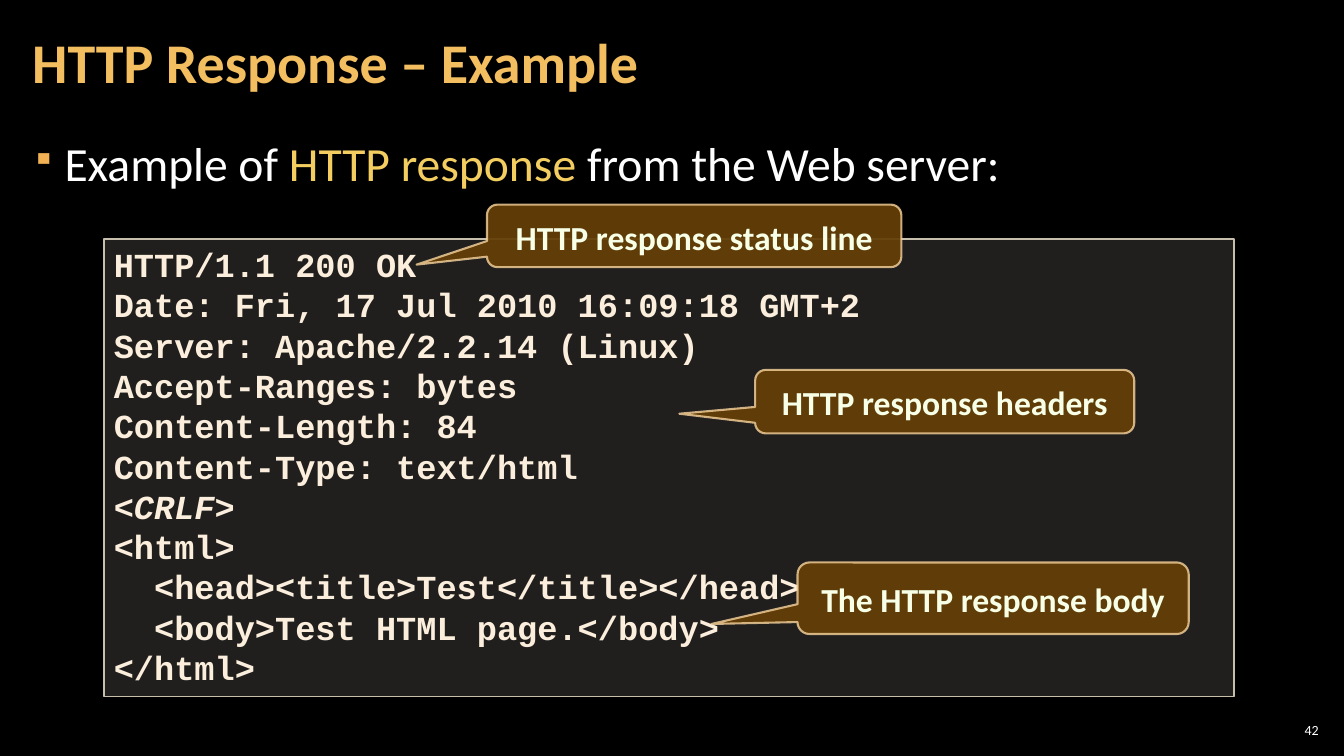
import pptx
import pptx.dml.color
import pptx.enum.shapes
import pptx.enum.text
import pptx.oxml
import pptx.oxml.ns
import pptx.util
from pptx.util import Inches

COLORS = {
    "background": "000000",
    "title": "F3BE60",
    "text": "FFFFFF",
    "highlight": "F3CD60",
    "bullet": "F2B254",
    "code_fill": "D9D5C7",
    "code_line": "C7BFAC",
    "code_text": "FBEEDC",
    "callout_fill": "643F07",
    "callout_line": "F8D49E",
    "callout_text": "F7FFE7",
}
ALIGN = pptx.enum.text.PP_ALIGN
ANCHOR = pptx.enum.text.MSO_ANCHOR
SHAPE = pptx.enum.shapes.MSO_SHAPE

RESPONSE_LINES = [
    "HTTP/1.1 200 OK",
    "Date: Fri, 17 Jul 2010 16:09:18 GMT+2",
    "Server: Apache/2.2.14 (Linux)",
    "Accept-Ranges: bytes",
    "Content-Length: 84",
    "Content-Type: text/html",
    "<CRLF>",
    "<html>",
    "  <head><title>Test</title></head>",
    "  <body>Test HTML page.</body>",
    "</html>",
]
CALLOUTS = [
    ("HTTP response status line", (4.83, 2.03, 4.11, 0.62), (-0.67, 0.46)),
    ("HTTP response headers", (7.49, 3.67, 3.76, 0.63), (-0.7, 0.19)),
    ("The HTTP response body", (7.91, 5.58, 3.88, 0.71), (-0.72, 0.36)),
]


def rgb(name):
    """Return the named colour."""
    return pptx.dml.color.RGBColor.from_string(COLORS[name])


def add_run(paragraph, text, size, color, font="Calibri", bold=False, italic=False):
    """Append one formatted run to a paragraph."""
    run = paragraph.add_run()
    run.text = text
    run.font.name = font
    run.font.size = pptx.util.Pt(size)
    run.font.bold = bold
    run.font.italic = italic
    run.font.color.rgb = rgb(color)


def set_opacity(fill, percent):
    """Give a solid fill the stated opacity."""
    color = fill._xPr.find(".//" + pptx.oxml.ns.qn("a:srgbClr"))
    alpha = pptx.oxml.parse_xml(
        f'<a:alpha {pptx.oxml.ns.nsdecls("a")} val="{percent * 1000}"/>')
    color.append(alpha)


def add_text_box(slide, box, anchor=ANCHOR.TOP, side=0.12):
    """Add a wrapping text box and return its first paragraph."""
    frame = slide.shapes.add_textbox(*map(Inches, box)).text_frame
    frame.word_wrap = True
    frame.vertical_anchor = anchor
    frame.margin_left = frame.margin_right = Inches(side)
    frame.margin_top = frame.margin_bottom = Inches(0.04)
    return frame.paragraphs[0]


def add_panel(slide, kind, box, fill, opacity, line, width):
    """Add a translucent outlined shape."""
    shape = slide.shapes.add_shape(kind, *map(Inches, box))
    shape.shadow.inherit = False
    shape.fill.solid()
    shape.fill.fore_color.rgb = rgb(fill)
    set_opacity(shape.fill, opacity)
    shape.line.color.rgb = rgb(line)
    shape.line.width = pptx.util.Pt(width)
    return shape


def add_title(slide, box):
    """Add the slide title."""
    paragraph = add_text_box(slide, box, ANCHOR.MIDDLE)
    paragraph.line_spacing = 0.9
    add_run(paragraph, "HTTP Response – Example", 40, "title", bold=True)


def add_introduction(slide, box):
    """Add the bulleted sentence above the code."""
    paragraph = add_text_box(slide, box)
    properties = paragraph._p.get_or_add_pPr()
    properties.set("marL", str(Inches(0.33)))
    properties.set("indent", str(Inches(-0.33)))
    namespace = pptx.oxml.ns.nsdecls("a")
    for xml in (
        f'<a:buClr {namespace}><a:srgbClr val="{COLORS["bullet"]}"/></a:buClr>',
        f'<a:buSzPct {namespace} val="70000"/>',
        f'<a:buChar {namespace} char="▪"/>',
    ):
        properties.append(pptx.oxml.parse_xml(xml))
    paragraph.line_spacing = 1.05
    paragraph.space_after = pptx.util.Pt(6)
    add_run(paragraph, "Example of ", 34, "text")
    add_run(paragraph, "HTTP response ", 34, "highlight")
    add_run(paragraph, "from the Web server:", 34, "text")


def add_code(slide, box):
    """Add the panel with the response listing."""
    panel = add_panel(slide, SHAPE.RECTANGLE, box, "code_fill", 15, "code_line", 1)
    frame = panel.text_frame
    frame.word_wrap = True
    frame.vertical_anchor = ANCHOR.TOP
    for index, text in enumerate(RESPONSE_LINES):
        paragraph = frame.add_paragraph() if index else frame.paragraphs[0]
        paragraph.alignment = ALIGN.LEFT
        paragraph.line_spacing = pptx.util.Pt(28.8)
        add_run(paragraph, text, 24, "code_text", "Courier New",
                bold=True, italic=text == "<CRLF>")


def add_callout(slide, text, box, tip):
    """Add a callout whose tip is given relative to its box."""
    callout = add_panel(slide, SHAPE.ROUNDED_RECTANGULAR_CALLOUT, box,
                        "callout_fill", 95, "callout_line", 1.5)
    set_opacity(callout.line.fill, 80)
    callout.adjustments[0], callout.adjustments[1] = tip
    frame = callout.text_frame
    frame.word_wrap = True
    frame.vertical_anchor = ANCHOR.MIDDLE
    paragraph = frame.paragraphs[0]
    paragraph.alignment = ALIGN.CENTER
    paragraph.line_spacing = pptx.util.Pt(30)
    add_run(paragraph, text, 24, "callout_text", bold=True)


def add_slide_number(slide, box):
    """Add the slide number."""
    paragraph = add_text_box(slide, box, ANCHOR.MIDDLE, side=0.04)
    paragraph.alignment = ALIGN.RIGHT
    add_run(paragraph, "42", 10, "text")


def main():
    """Build and save the presentation."""
    presentation = pptx.Presentation()
    presentation.slide_width = Inches(13.33)
    presentation.slide_height = Inches(7.5)
    slide = presentation.slides.add_slide(presentation.slide_layouts[6])
    slide.background.fill.solid()
    slide.background.fill.fore_color.rgb = rgb("background")
    add_slide_number(slide, (12.65, 7.14, 0.47, 0.21))
    add_introduction(slide, (0.19, 1.26, 12.91, 6.09))
    add_title(slide, (0.2, 0.04, 10.47, 1.21))
    add_code(slide, (1.03, 2.37, 11.21, 4.54))
    for text, box, tip in CALLOUTS:
        add_callout(slide, text, box, tip)
    presentation.save("out.pptx")


if __name__ == "__main__":
    main()
